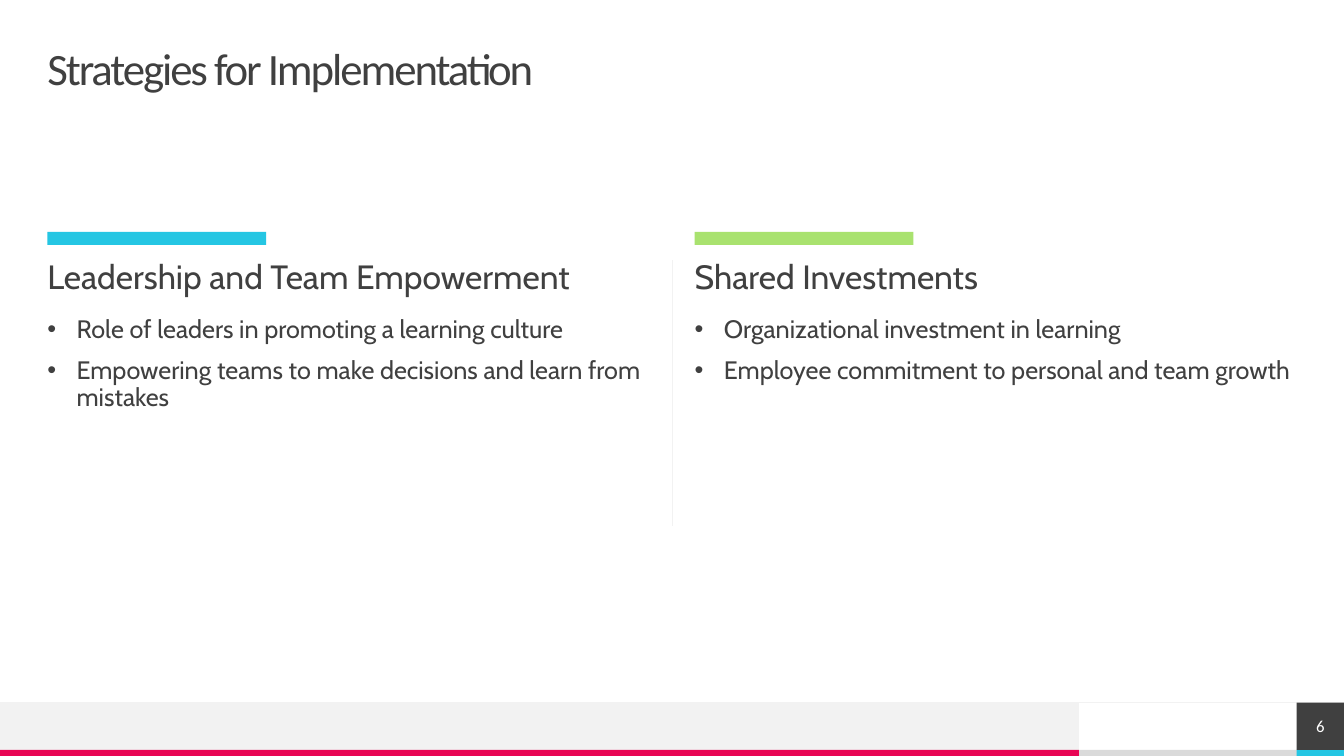
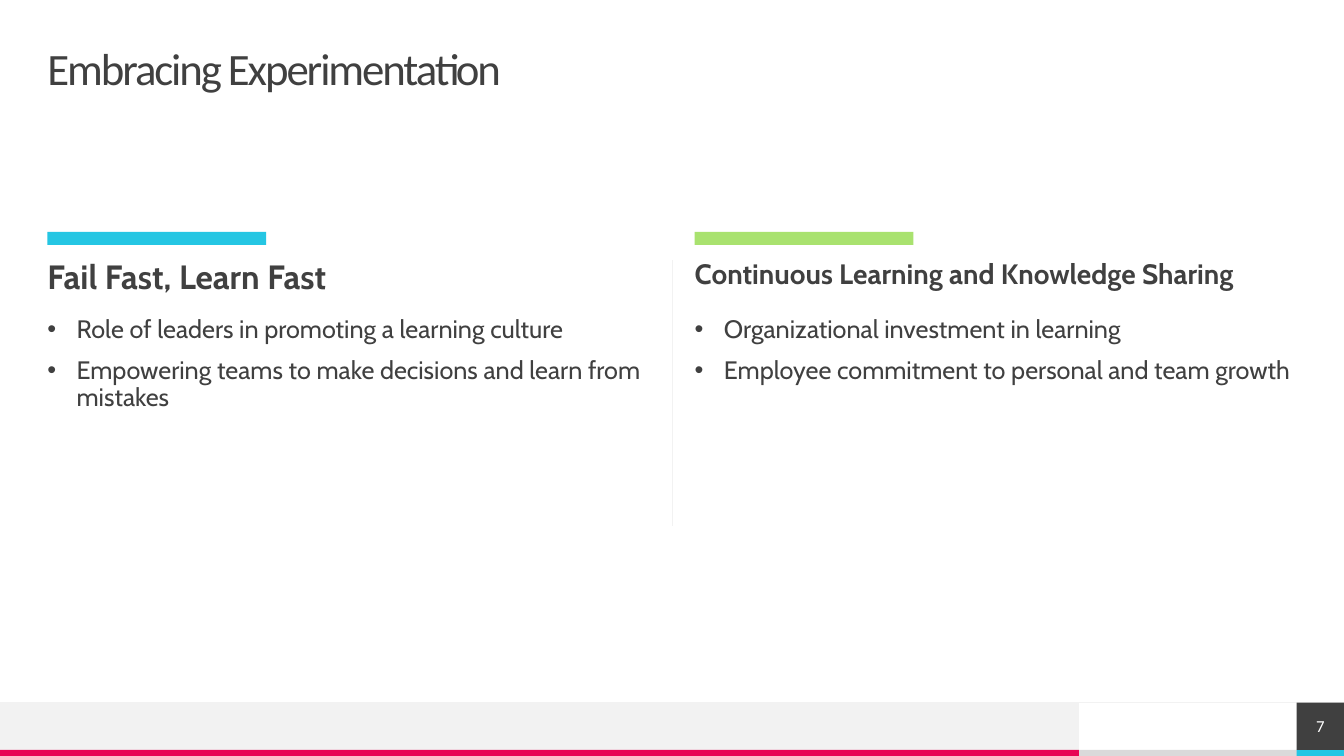
from dataclasses import dataclass

from lxml.etree import SubElement
from pptx import Presentation
from pptx.dml.color import RGBColor
from pptx.enum.shapes import MSO_CONNECTOR as Connector, MSO_SHAPE as Shape
from pptx.enum.text import MSO_ANCHOR as Anchor, MSO_AUTO_SIZE as AutoSize, PP_ALIGN as Align
from pptx.oxml.ns import qn
from pptx.util import Inches, Pt


@dataclass(frozen=True)
class Theme:
    """Colours, fonts and type sizes of the deck."""
    ink: str = "404040"
    white: str = "FFFFFF"
    band: str = "F2F2F2"
    grey: str = "DADADA"
    pink: str = "E80554"
    cyan: str = "25C6E3"
    green: str = "A9E26F"
    title_font: str = "Calibri"
    body_font: str = "Cabin"
    title_size: int = 32
    heading_size: int = 24
    small_heading_size: int = 20
    list_size: int = 18
    number_size: int = 12


THEME = Theme()
WIDTH, HEIGHT = 13.33, 7.5
MARGIN = 0.47
STRIP = 0.06
ACCENT_WIDTH = 2.17
COLUMN_WIDTH = 5.98
COLUMN_LEFTS = (MARGIN, WIDTH - 0.46 - COLUMN_WIDTH)
STRIP_TOP = HEIGHT - STRIP
BAND_TOP = STRIP_TOP - MARGIN
NUMBER_LEFT = WIDTH - MARGIN
BAND_WIDTH = 10.7
HEADING_TOP = 2.58

FOOTER_BLOCKS = (
    (BAND_WIDTH, STRIP_TOP, ACCENT_WIDTH, STRIP, THEME.grey),
    (0, BAND_TOP, BAND_WIDTH, MARGIN, THEME.band),
    (0, STRIP_TOP, BAND_WIDTH, STRIP, THEME.pink),
    (NUMBER_LEFT, STRIP_TOP, MARGIN, STRIP, THEME.cyan),
)
LEADER_POINTS = (
    "Role of leaders in promoting a learning culture",
    "Empowering teams to make decisions and learn from mistakes",
)
INVESTMENT_POINTS = (
    "Organizational investment in learning",
    "Employee commitment to personal and team growth",
)
SLIDES = (
    (6, "Strategies for Implementation", (
        ("Leadership and Team Empowerment", THEME.heading_size, False, LEADER_POINTS),
        ("Shared Investments", THEME.heading_size, False, INVESTMENT_POINTS),
    )),
    (7, "Embracing Experimentation", (
        ("Fail Fast, Learn Fast", THEME.heading_size, True, LEADER_POINTS),
        ("Continuous Learning and Knowledge Sharing", THEME.small_heading_size, True,
         INVESTMENT_POINTS),
    )),
)


def set_attributes(target, values):
    """Set each named attribute of the target."""
    for name, value in values.items():
        setattr(target, name, value)


def place(shape, left, top, width, height):
    """Move and size a shape, in inches."""
    set_attributes(shape, {"left": Inches(left), "top": Inches(top),
                           "width": Inches(width), "height": Inches(height)})


def write_text(shape, lines, font, size, color=THEME.ink, bold=False,
               anchor=Anchor.TOP, **paragraph_format):
    """Fill a shape with evenly formatted paragraphs."""
    frame = shape.text_frame
    frame.text = "\n".join(lines)
    set_attributes(frame, {"margin_left": 0, "margin_top": 0, "margin_right": 0,
                           "margin_bottom": 0, "word_wrap": True,
                           "auto_size": AutoSize.NONE, "vertical_anchor": anchor})
    for paragraph in frame.paragraphs:
        set_attributes(paragraph, {"alignment": Align.LEFT, **paragraph_format})
        for run in paragraph.runs:
            set_attributes(run.font, {"name": font, "size": Pt(size), "bold": bold})
            run.font.color.rgb = RGBColor.from_string(color)


def add_block(slide, left, top, width, height, color):
    """Add a plain filled rectangle."""
    block = slide.shapes.add_shape(Shape.RECTANGLE, 0, 0, 0, 0)
    place(block, left, top, width, height)
    block.shadow.inherit = False
    block.fill.solid()
    block.fill.fore_color.rgb = RGBColor.from_string(color)
    block.line.fill.background()
    return block


def add_rule(slide, *ends):
    """Add a thin pale line between two points."""
    rule = slide.shapes.add_connector(Connector.STRAIGHT, *map(Inches, ends))
    rule.line.color.rgb = RGBColor.from_string(THEME.band)
    rule.line.width = Pt(0.5)
    SubElement(rule.element.spPr, qn("a:effectLst"))


def add_footer(slide, number):
    """Add the bottom bands and the slide number."""
    for block in FOOTER_BLOCKS:
        add_block(slide, *block)
    add_rule(slide, WIDTH, BAND_TOP, 0, BAND_TOP)
    tile = add_block(slide, NUMBER_LEFT, BAND_TOP, MARGIN, MARGIN, THEME.ink)
    write_text(tile, [str(number)], THEME.title_font, THEME.number_size, THEME.white,
               anchor=Anchor.MIDDLE, alignment=Align.CENTER)


def fill_title(slide, text):
    """Place and write the slide title."""
    title = slide.shapes.title
    place(title, MARGIN, MARGIN, 12.4, MARGIN)
    write_text(title, [text], THEME.title_font, THEME.title_size,
               anchor=Anchor.MIDDLE, line_spacing=0.9)
    title.text_frame.paragraphs[0].runs[0].font._element.set("spc", "-150")


def fill_list(shape, points):
    """Write a bulleted list with a hanging indent."""
    write_text(shape, points, THEME.body_font, THEME.list_size,
               line_spacing=0.9, space_before=Pt(10))
    for paragraph in shape.text_frame.paragraphs:
        properties = paragraph._p.get_or_add_pPr()
        properties.set("marL", str(Inches(0.29)))
        properties.set("indent", str(Inches(-0.29)))
        SubElement(properties, qn("a:buChar"), char="•")


def fill_column(slide, left, accent, heading_box, list_box, column):
    """Fill one column: accent bar, heading and list."""
    heading, size, bold, points = column
    add_block(slide, left, 2.3, ACCENT_WIDTH, 0.13, accent)
    place(heading_box, left, HEADING_TOP, COLUMN_WIDTH, 0.39)
    write_text(heading_box, [heading], THEME.body_font, size, bold=bold,
               line_spacing=0.9, space_before=Pt(10))
    place(list_box, left, 3.14, COLUMN_WIDTH, 3.69)
    fill_list(list_box, points)


def add_comparison(presentation, number, title, columns):
    """Add a slide that sets two columns side by side."""
    slide = presentation.slides.add_slide(presentation.slide_layouts.get_by_name("Comparison"))
    add_footer(slide, number)
    fill_title(slide, title)
    boxes = list(slide.placeholders)[1:]
    accents = (THEME.cyan, THEME.green)
    for left, accent, heading_box, list_box, column in zip(
            COLUMN_LEFTS, accents, boxes[::2], boxes[1::2], columns):
        fill_column(slide, left, accent, heading_box, list_box, column)
    add_rule(slide, 6.67, HEADING_TOP, 6.67, 5.22)


def main():
    """Build and save the deck."""
    presentation = Presentation()
    set_attributes(presentation, {"slide_width": Inches(WIDTH), "slide_height": Inches(HEIGHT)})
    for content in SLIDES:
        add_comparison(presentation, *content)
    presentation.save("out.pptx")


if __name__ == "__main__":
    main()
